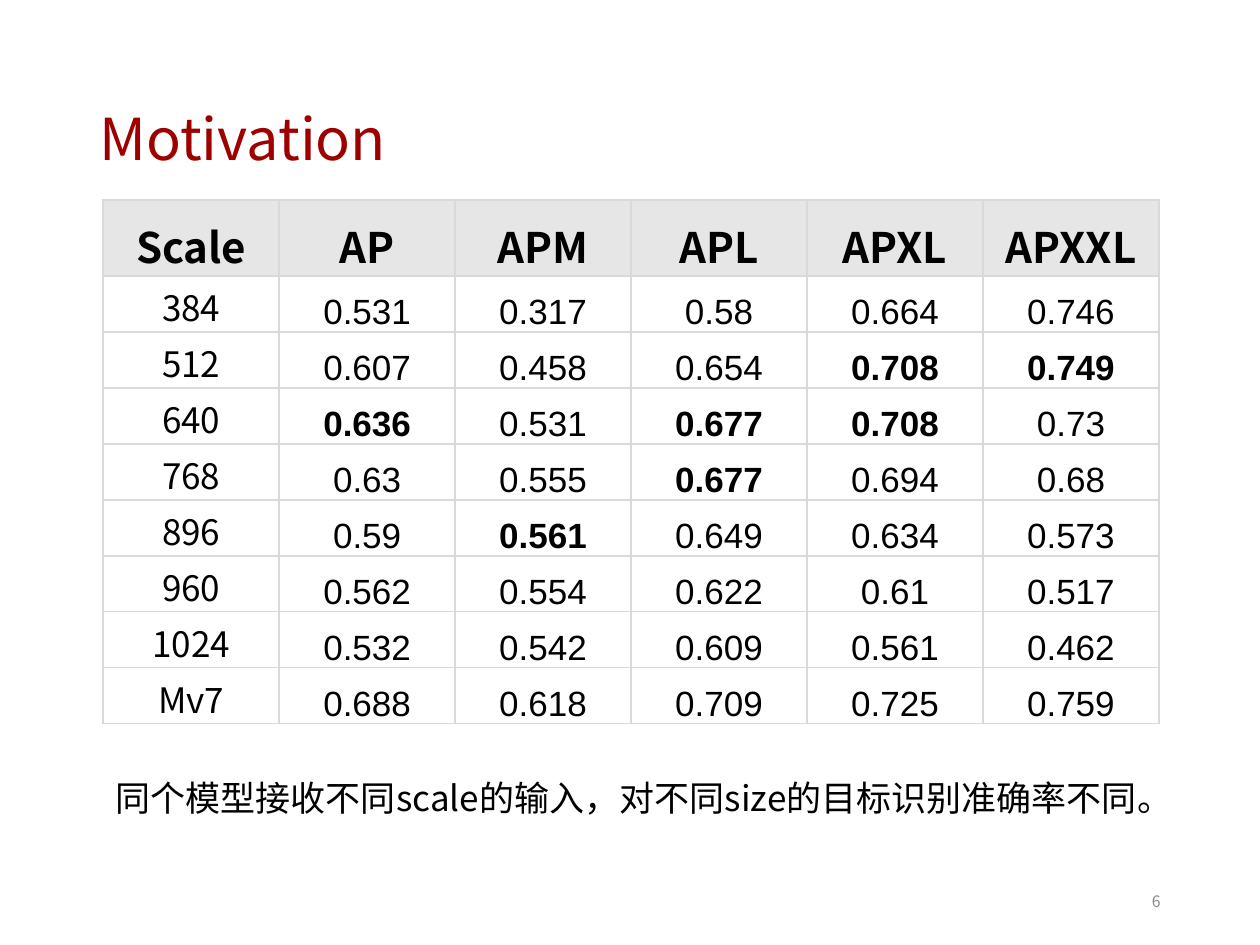
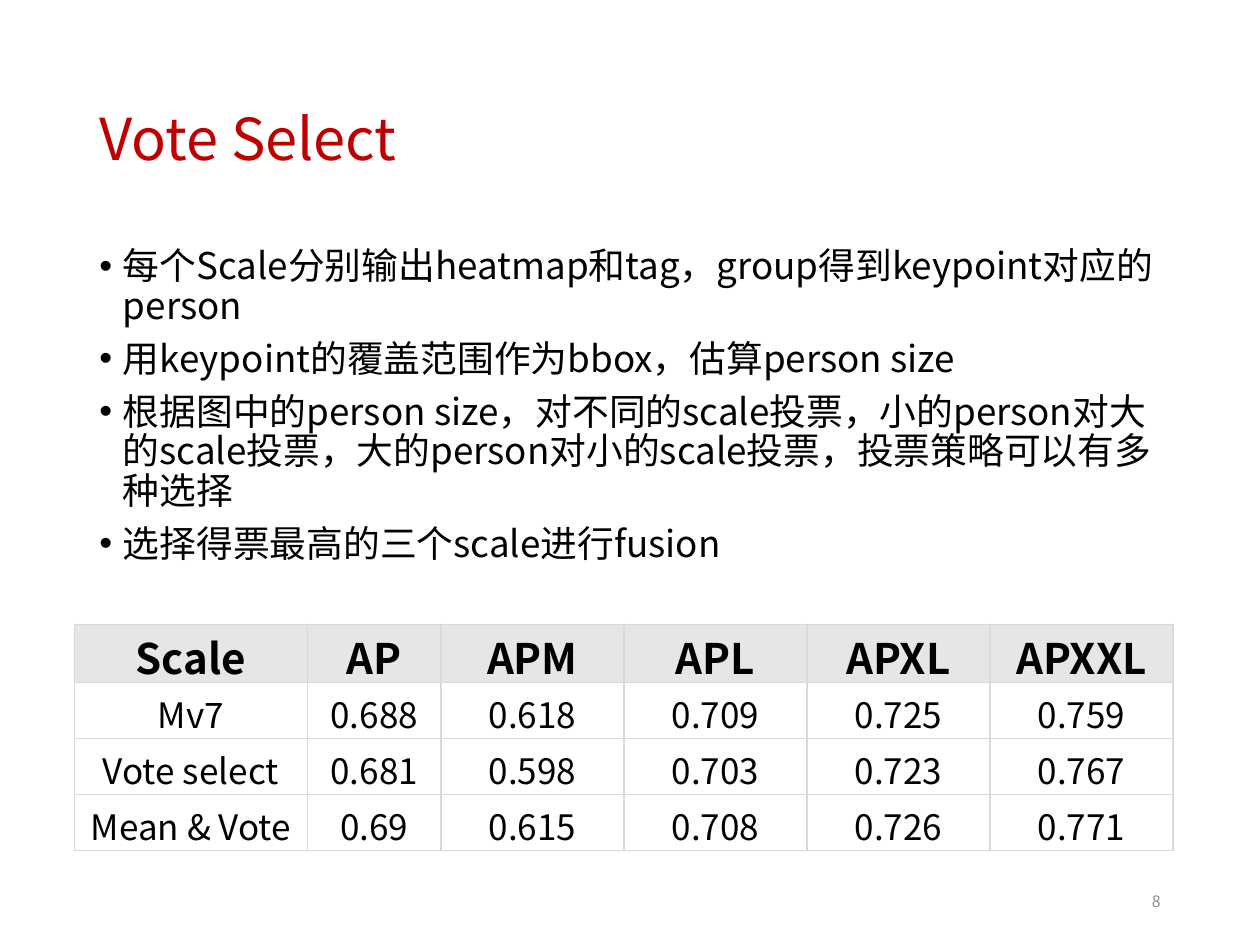
from lxml.etree import SubElement
from pptx import Presentation
from pptx.dml.color import RGBColor
from pptx.enum.text import MSO_ANCHOR, PP_ALIGN
from pptx.oxml import parse_xml
from pptx.oxml.ns import nsdecls, qn
from pptx.util import Pt

BLACK = RGBColor(0x00, 0x00, 0x00)
WHITE = RGBColor(0xFF, 0xFF, 0xFF)
DARK_RED = RGBColor(0x9E, 0x00, 0x00)
RED = RGBColor(0xC0, 0x00, 0x00)
PAGE_GRAY = RGBColor(0x8C, 0x8C, 0x8C)
HEADER_GRAY = RGBColor(0xE7, 0xE6, 0xE6)
BORDER_GRAY = RGBColor(0xD9, 0xD9, 0xD9)

NOTO = "Noto Sans CJK SC"
ARIAL = "Arial"

TITLE_BOX = (49.7, 28.8, 620.6, 104.4)
PAGE_BOX = (508.3, 500.4, 162, 28.8)
SCALE_BOX = (59, 114.25, 603.4, 299.5)
NOTE_BOX = (59, 440, 614.2, 31.7)
BODY_BOX = (49.7, 138.2, 620.6, 342.7)
VOTE_BOX = (42.5, 357, 627.8, 129)

HEADER = ["Scale", "AP", "APM", "APL", "APXL", "APXXL"]
SCALE_ROWS = [
    ["384", "0.531", "0.317", "0.58", "0.664", "0.746"],
    ["512", "0.607", "0.458", "0.654", "0.708", "0.749"],
    ["640", "0.636", "0.531", "0.677", "0.708", "0.73"],
    ["768", "0.63", "0.555", "0.677", "0.694", "0.68"],
    ["896", "0.59", "0.561", "0.649", "0.634", "0.573"],
    ["960", "0.562", "0.554", "0.622", "0.61", "0.517"],
    ["1024", "0.532", "0.542", "0.609", "0.561", "0.462"],
]
MV7_ROW = ["Mv7", "0.688", "0.618", "0.709", "0.725", "0.759"]
VOTE_ROWS = [
    MV7_ROW,
    ["Vote select", "0.681", "0.598", "0.703", "0.723", "0.767"],
    ["Mean & Vote", "0.69", "0.615", "0.708", "0.726", "0.771"],
]
NOTE = "同个模型接收不同scale的输入，对不同size的目标识别准确率不同。"
STEPS = [
    "每个Scale分别输出heatmap和tag，group得到keypoint对应的person",
    "用keypoint的覆盖范围作为bbox，估算person size",
    "根据图中的person size，对不同的scale投票，小的person对大的scale投票，"
    "大的person对小的scale投票，投票策略可以有多种选择",
    "选择得票最高的三个scale进行fusion",
]


def set_attrs(obj, values):
    for name, value in values.items():
        setattr(obj, name, value)


def add_run(p, text, size, color=BLACK, name=NOTO, bold=False):
    r = p.add_run()
    r.text = text
    set_attrs(r.font, {"size": Pt(size), "name": name, "bold": bold})
    r.font.color.rgb = color
    SubElement(r.font._element, qn("a:ea")).set("typeface", NOTO)


def add_text(s, box, lines, size, color=BLACK, anchor=MSO_ANCHOR.TOP, **para):
    tf = s.shapes.add_textbox(*map(Pt, box)).text_frame
    set_attrs(tf, {"word_wrap": True, "vertical_anchor": anchor})
    for i, line in enumerate(lines):
        p = tf.add_paragraph() if i else tf.paragraphs[0]
        set_attrs(p, para)
        add_run(p, line, size, color)
    return tf


def add_frame(s, title, color, number):
    add_text(s, TITLE_BOX, [title], 33, color, MSO_ANCHOR.MIDDLE, line_spacing=0.9)
    add_text(s, PAGE_BOX, [number], 9, PAGE_GRAY, MSO_ANCHOR.MIDDLE,
             alignment=PP_ALIGN.RIGHT)


def add_steps(s, box):
    tf = add_text(s, box, STEPS, 21, line_spacing=0.9, space_before=Pt(7.5))
    for p in tf.paragraphs:
        pPr = p._p.get_or_add_pPr()
        pPr.set("marL", str(Pt(13.5)))
        pPr.set("indent", str(Pt(-13.5)))
        SubElement(pPr, qn("a:buFont")).set("typeface", ARIAL)
        SubElement(pPr, qn("a:buChar")).set("char", "•")


def add_borders(cell):
    tcPr = cell._tc.get_or_add_tcPr()
    for i, side in enumerate("LRTB"):
        tcPr.insert(i, parse_xml(
            f'<a:ln{side} {nsdecls("a")} w="{Pt(1)}"><a:solidFill>'
            f'<a:srgbClr val="{BORDER_GRAY}"/></a:solidFill></a:ln{side}>'))


def add_score_table(s, box, rows, widths, header_height, value_font, best=()):
    data = [HEADER] + rows
    frame = s.shapes.add_table(len(data), len(HEADER), *map(Pt, box))
    table = frame.table
    set_attrs(table, {"first_row": False, "horz_banding": False})
    for col, width in zip(table.columns, widths):
        col.width = Pt(width)
    row_height = (box[3] - header_height) / len(rows)
    for i, values in enumerate(data):
        table.rows[i].height = Pt(row_height if i else header_height)
        for j, value in enumerate(values):
            cell = table.cell(i, j)
            set_attrs(cell, {
                "margin_left": Pt(0.7), "margin_right": Pt(0.7),
                "margin_top": Pt(0.7), "margin_bottom": 0,
                "vertical_anchor": MSO_ANCHOR.BOTTOM})
            cell.fill.solid()
            cell.fill.fore_color.rgb = WHITE if i else HEADER_GRAY
            add_borders(cell)
            p = cell.text_frame.paragraphs[0]
            p.alignment = PP_ALIGN.CENTER
            add_run(p, value, 20 if i else 24,
                    name=value_font if i and j else NOTO,
                    bold=i == 0 or (j, value) in best)


def build_motivation(s):
    add_frame(s, "Motivation", DARK_RED, "6")
    columns = list(zip(*SCALE_ROWS))
    best = {(j, max(columns[j], key=float)) for j in range(1, len(HEADER))}
    widths = [SCALE_BOX[2] / len(HEADER)] * len(HEADER)
    add_score_table(s, SCALE_BOX, SCALE_ROWS + [MV7_ROW], widths, 43.5, ARIAL, best)
    add_text(s, NOTE_BOX, [NOTE], 20)


def build_vote_select(s):
    add_frame(s, "Vote Select", RED, "8")
    add_steps(s, BODY_BOX)
    widths = [133.2, 76.3]
    widths += [(VOTE_BOX[2] - sum(widths)) / 4] * 4
    add_score_table(s, VOTE_BOX, VOTE_ROWS, widths, 33, NOTO)


def main():
    prs = Presentation()
    set_attrs(prs, {"slide_width": Pt(720), "slide_height": Pt(540)})
    for build in (build_motivation, build_vote_select):
        build(prs.slides.add_slide(prs.slide_layouts[6]))
    prs.save("out.pptx")


if __name__ == "__main__":
    main()
